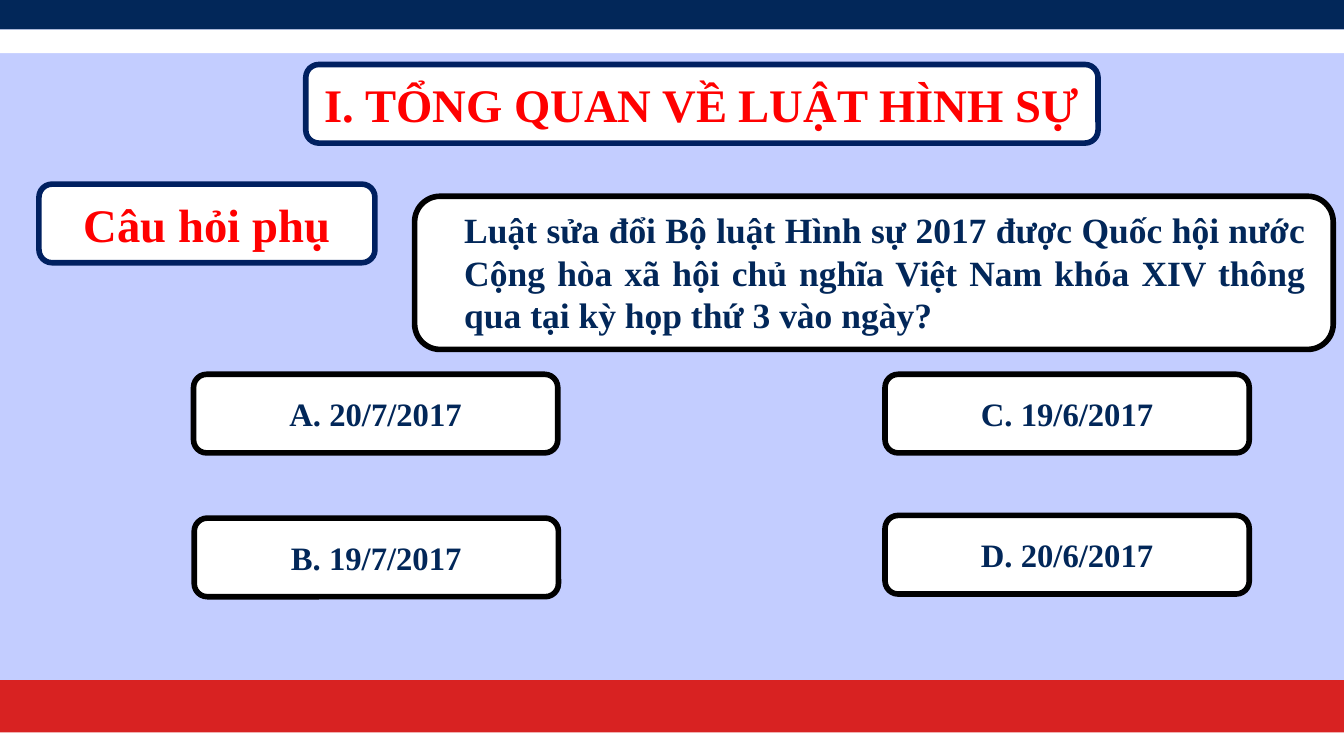
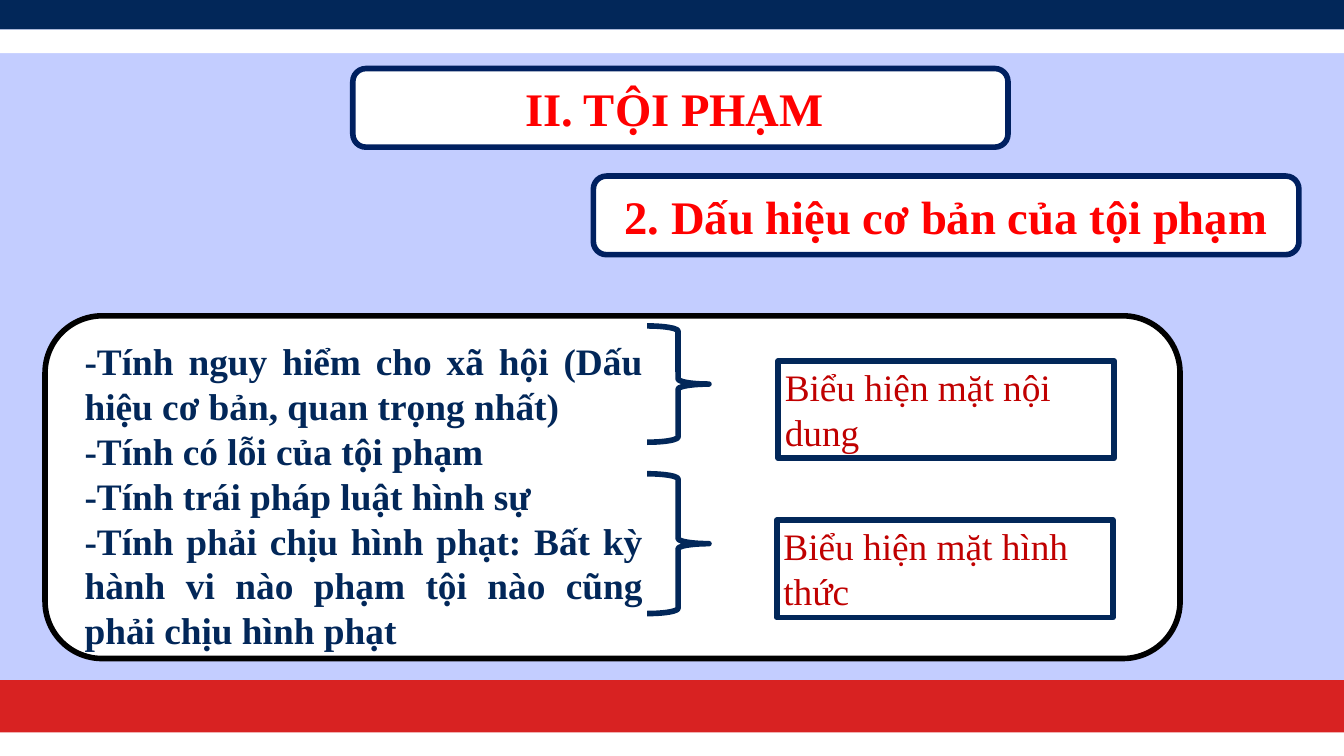
import pptx
import pptx.dml.color
import pptx.enum.shapes
import pptx.enum.text
import pptx.util

Inches = pptx.util.Inches
Align = pptx.enum.text.PP_ALIGN
Anchor = pptx.enum.text.MSO_ANCHOR
Shape = pptx.enum.shapes.MSO_SHAPE

RED, NAVY, WHITE, BLACK = "D82222", "022759", "FFFFFF", "000000"
BACKGROUND, TITLE_LINE, TITLE_TEXT, LABEL_TEXT = "C3CDFF", "002060", "FF0000", "C00000"
BOX_HEIGHT = 1.17
BANDS = [
    (-0.67, 10.12, 21.02, 1.42, RED),
    (-0.42, -0.09, 21.02, 0.53, NAVY),
    (-0.35, 0.44, 20.7, 0.35, WHITE),
    (-0.35, 10.9, 20.95, 0.67, WHITE),
]


def color(value):
    return pptx.dml.color.RGBColor.from_string(value)


class Deck:
    """Holds the shared style and the current slide."""

    def __init__(self):
        self.presentation = pptx.Presentation()
        self.presentation.slide_width = Inches(20)
        self.presentation.slide_height = Inches(11.25)
        self.slide = None

    def add_slide(self):
        self.slide = self.presentation.slides.add_slide(self.presentation.slide_layouts[6])
        fill = self.slide.background.fill
        fill.solid()
        fill.fore_color.rgb = color(BACKGROUND)
        for left, top, width, height, band_fill in BANDS:
            self.shape(Shape.RECTANGLE, left, top, width, height, band_fill)

    def shape(self, kind, left, top, width, height, fill=None, line=None):
        shape = self.slide.shapes.add_shape(
            kind, Inches(left), Inches(top), Inches(width), Inches(height))
        shape.shadow.inherit = False
        if fill:
            shape.fill.solid()
            shape.fill.fore_color.rgb = color(fill)
        else:
            shape.fill.background()
        if line:
            shape.line.color.rgb = color(line)
            shape.line.width = pptx.util.Pt(6)
        else:
            shape.line.fill.background()
        return shape

    def set_text(self, shape, lines, size, text_color, bold=True, align=Align.CENTER,
                 anchor=Anchor.MIDDLE, grow=False):
        frame = shape.text_frame
        frame.word_wrap = True
        frame.vertical_anchor = anchor
        if grow:
            frame.auto_size = pptx.enum.text.MSO_AUTO_SIZE.SHAPE_TO_FIT_TEXT
        frame.text = "\n".join(lines)
        font_format = {"name": "Times New Roman", "size": pptx.util.Pt(size), "bold": bold}
        for paragraph in frame.paragraphs:
            paragraph.alignment = align
            for run in paragraph.runs:
                for name, value in font_format.items():
                    setattr(run.font, name, value)
                run.font.color.rgb = color(text_color)

    def panel(self, left, top, width, height, line=BLACK):
        return self.shape(Shape.ROUNDED_RECTANGLE, left, top, width, height, WHITE, line)

    def title(self, text, left, top, width):
        box = self.panel(left, top, width, BOX_HEIGHT, TITLE_LINE)
        self.set_text(box, [text], 50, TITLE_TEXT)

    def answer(self, text, left, top):
        self.set_text(self.panel(left, top, 5.42, BOX_HEIGHT), [text], 35, NAVY)

    def body(self, lines, left, top, width, height, size):
        box = self.slide.shapes.add_textbox(
            Inches(left), Inches(top), Inches(width), Inches(height))
        self.set_text(box, lines, size, NAVY, align=Align.JUSTIFY, anchor=Anchor.TOP, grow=True)

    def brace(self, top, height):
        self.shape(Shape.LEFT_BRACE, 9.63, top, 0.92, height, line=NAVY).rotation = 180

    def label(self, text, left, top):
        box = self.shape(Shape.RECTANGLE, left, top, 5, 1.45, line=NAVY)
        self.set_text(box, [text], 40, LABEL_TEXT, bold=False, align=Align.LEFT,
                      anchor=Anchor.TOP, grow=True)


def add_question(deck):
    deck.add_slide()
    deck.title("I. TỔNG QUAN VỀ LUẬT HÌNH SỰ", 4.55, 0.96, 11.79)
    deck.title("Câu hỏi phụ", 0.58, 2.74, 5)
    deck.panel(6.17, 2.92, 13.67, 2.28)
    deck.body(["Luật sửa đổi Bộ luật Hình sự 2017 được Quốc hội nước Cộng hòa xã hội chủ nghĩa "
               "Việt Nam khóa XIV thông qua tại kỳ họp thứ 3 vào ngày?"],
              6.81, 3.05, 12.72, 2.66, 38)
    for text, left, top in [
        ("A. 20/7/2017", 2.88, 5.57),
        ("B. 19/7/2017", 2.89, 7.71),
        ("D. 20/6/2017", 13.17, 7.67),
        ("C. 19/6/2017", 13.17, 5.57),
    ]:
        deck.answer(text, left, top)


def add_crime_signs(deck):
    deck.add_slide()
    deck.title("II. TỘI PHẠM ", 5.25, 1.02, 9.75)
    deck.title("2. Dấu hiệu cơ bản của tội phạm", 8.83, 2.62, 10.5)
    deck.panel(0.67, 4.7, 16.89, 5.1)
    deck.body([
        "-Tính nguy hiểm cho xã hội (Dấu hiệu cơ bản, quan trọng nhất)",
        "-Tính có lỗi của tội phạm",
        "-Tính trái pháp luật hình sự",
        "-Tính phải chịu hình phạt: Bất kỳ hành vi nào phạm tội nào cũng phải chịu hình phạt",
    ], 1.16, 4.99, 8.5, 4.81, 40)
    deck.brace(7.05, 2.08)
    deck.brace(4.85, 1.73)
    deck.label("Biểu hiện mặt nội dung", 11.58, 5.37)
    deck.label("Biểu hiện mặt hình thức", 11.56, 7.74)


def main():
    deck = Deck()
    add_question(deck)
    add_crime_signs(deck)
    deck.presentation.save("out.pptx")


if __name__ == "__main__":
    main()
